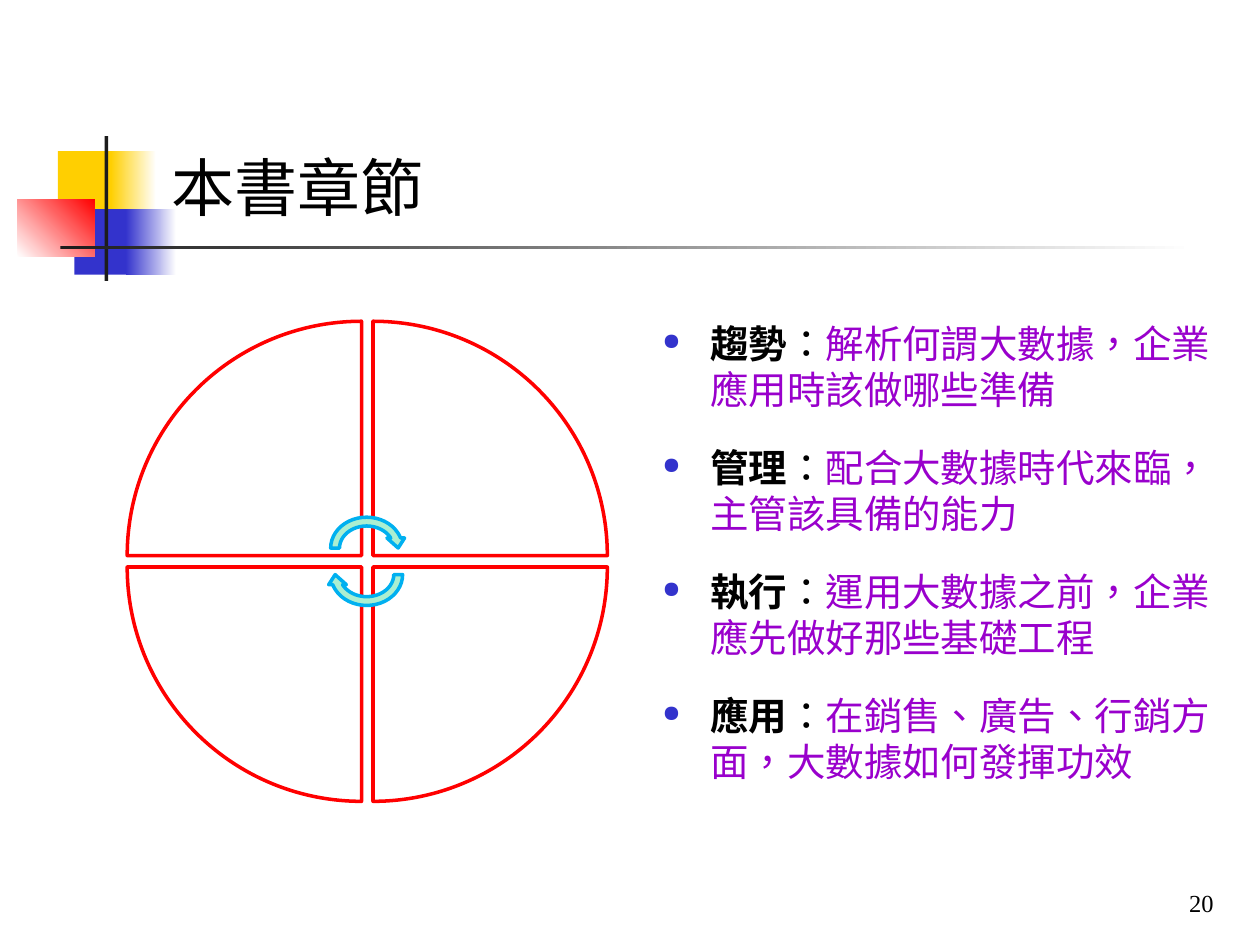
from lxml import etree
from pptx import Presentation, util as u
from pptx.dml.color import RGBColor
from pptx.enum import lang, shapes, text
from pptx.oxml.ns import qn

FONT = "Times New Roman"
COLORS = {
    "white": "FFFFFF", "black": "000000", "gold": "FFCF01", "blue": "3333CC",
    "red": "FF0000", "dark": "1C1C1C", "mint": "ABEFD1", "sky": "00B0F0",
    "purple": "9900CC",
}
# left, top, width, height, first colour, second colour, angle
DECOR = [
    (0.46, 1.2, 0.48, 0.52, "gold", None, 0),
    (0.88, 1.2, 0.36, 0.52, "gold", "white", 0),
    (0.59, 1.66, 0.46, 0.52, "blue", None, 0),
    (1, 1.66, 0.4, 0.52, "blue", "white", 0),
    (0.14, 1.58, 0.61, 0.46, "white", "red", 45),
    (0.83, 1.08, 0.03, 1.15, "dark", None, 0),
    (0.48, 1.95, 9, 0.03, "dark", "white", 0),
]
CHAPTERS = [
    ("趨勢", "解析何謂大數據，企業應用時該做哪些準備"),
    ("管理", "配合大數據時代來臨，主管該具備的能力"),
    ("執行", "運用大數據之前，企業應先做好那些基礎工程"),
    ("應用", "在銷售、廣告、行銷方面，大數據如何發揮功效"),
]


def color(name):
    """Look up a colour by name."""
    return RGBColor.from_string(COLORS[name])


def add_shape(parent, kind, box, fill, line=None, turn=0):
    """Add a flat preset shape with an optional 2 pt outline."""
    shape = parent.add_shape(kind, *map(u.Inches, box))
    shape.shadow.inherit = False
    shape.rotation = turn
    shape.fill.solid()
    shape.fill.fore_color.rgb = color(fill)
    if line:
        shape.line.color.rgb = color(line)
        shape.line.width = u.Pt(2)
    else:
        shape.line.fill.background()
    return shape


def add_decor(parent):
    """Draw the coloured blocks and the rules beside the title."""
    for *box, first, last, angle in DECOR:
        block = add_shape(parent, shapes.MSO_SHAPE.RECTANGLE, box, first)
        if last:
            block.fill.gradient()
            block.fill.gradient_angle = angle
            for stop, name in zip(block.fill.gradient_stops, (first, last)):
                stop.color.rgb = color(name)


def add_box(parent, box, anchor):
    """Add a wrapping text box and return its frame."""
    frame = parent.add_textbox(*map(u.Inches, box)).text_frame
    frame.word_wrap = True
    frame.vertical_anchor = anchor
    return frame


def add_run(para, words):
    """Add a run in Traditional Chinese and return its font."""
    run = para.add_run()
    run.text = words
    run.font.language_id = lang.MSO_LANGUAGE_ID.TRADITIONAL_CHINESE
    return run.font


def set_font(font, size):
    """Set the typeface, size and base colour."""
    font.name = FONT
    font.size = u.Pt(size)
    font.color.rgb = color("black")


def add_label(parent, box, words, size, align):
    """Add one bottom-anchored line of text."""
    para = add_box(parent, box, text.MSO_ANCHOR.BOTTOM).paragraphs[0]
    para.alignment = align
    set_font(para.font, size)
    add_run(para, words)


def set_bullet(para):
    """Give a paragraph a small blue dot and a hanging indent."""
    props = para._p.get_or_add_pPr()
    props.set("marL", str(u.Inches(0.38)))
    props.set("indent", str(-u.Inches(0.38)))
    tint = etree.SubElement(props, qn("a:buClr"))
    etree.SubElement(tint, qn("a:srgbClr"), val=COLORS["blue"])
    etree.SubElement(props, qn("a:buSzPct"), val="60000")
    etree.SubElement(props, qn("a:buChar"), char="●")


def add_list(parent):
    """Write the four chapters as a bulleted list."""
    frame = add_box(parent, (5.16, 2.49, 4.64, 3.75), text.MSO_ANCHOR.TOP)
    for i, (head, body) in enumerate(CHAPTERS):
        para = frame.add_paragraph() if i else frame.paragraphs[0]
        para.space_before = u.Pt(18)
        set_bullet(para)
        set_font(para.font, 22)
        add_run(para, head).bold = True
        add_run(para, "：")
        add_run(para, body).color.rgb = color("purple")


def add_wheel(parent):
    """Draw four wedges clockwise, then two arrows round the hub."""
    group = parent.add_group_shape().shapes
    left, top, size, step = 1.01, 2.55, 1.86, 1.95
    for i, (col, row) in enumerate([(0, 0), (1, 0), (1, 1), (0, 1)]):
        box = (left + col * step, top + row * step, size, size)
        add_shape(group, shapes.MSO_SHAPE.PIE_WEDGE, box, "white", "red", 90 * i)
    for y, turn in ((4.07, 0), (4.28, 180)):
        add_shape(group, shapes.MSO_SHAPE.CIRCULAR_ARROW,
                  (2.59, y, 0.64, 0.56), "mint", "sky", turn)


def main():
    """Build and save the slide."""
    deck = Presentation()
    deck.slide_width, deck.slide_height = u.Inches(10), u.Inches(7.5)
    parts = deck.slides.add_slide(deck.slide_layouts[6]).shapes
    add_decor(parts)
    add_label(parts, (7.7, 6.83, 2.08, 0.5), "20 ", 14, text.PP_ALIGN.RIGHT)
    add_label(parts, (1.26, 0.23, 8.52, 1.6), "本書章節", 36, text.PP_ALIGN.LEFT)
    add_wheel(parts)
    add_list(parts)
    deck.save("out.pptx")


main()
